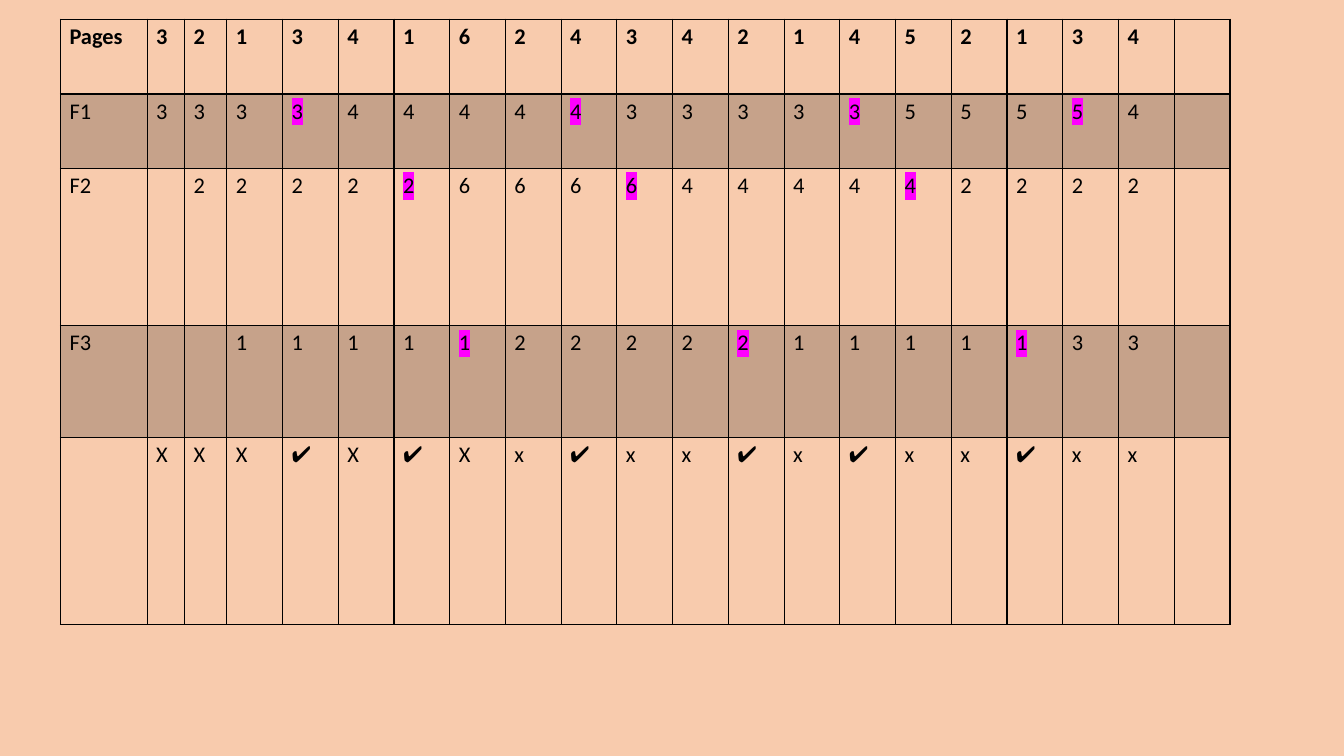
from lxml.etree import SubElement
from pptx import Presentation
from pptx.dml.color import RGBColor
from pptx.oxml import parse_xml
from pptx.oxml.ns import nsdecls, qn
from pptx.util import Inches, Pt

PEACH = RGBColor(0xF8, 0xCB, 0xAD)
BLACK = RGBColor(0x00, 0x00, 0x00)
MAGENTA = RGBColor(0xFF, 0x00, 0xFF)
BAND_ALPHA = 20000

PAGES = [*"3213416243421452134", ""]
FRAMES = [
    ["F1", *"3333444443333355554", ""],
    ["F2", "", *"222226666444442222", ""],
    ["F3", "", "", *"11111222221111133", ""],
]
FAULTS = ["", *"XXX✔X✔Xx✔xx✔x✔xx✔xx", ""]
ROWS = [["Pages", *PAGES], *FRAMES, FAULTS]

ROW_HEIGHTS = [0.74, 0.74, 1.56, 1.11, 1.86]
NARROW_WIDTHS = [0.86, 0.37, 0.42]


def set_borders(cell, row_index):
    """Draw thin borders, with a heavier rule under the header row."""
    heavy_sides = {0: "B", 1: "T"}.get(row_index, "")
    properties = cell._tc.get_or_add_tcPr()
    for position, side in enumerate("LRTB"):
        width = Pt(2 if side in heavy_sides else 1)
        properties.insert(position, parse_xml(
            f'<a:ln{side} {nsdecls("a")} w="{width}"><a:solidFill>'
            f'<a:srgbClr val="{BLACK}"/></a:solidFill></a:ln{side}>'))


def shade(cell):
    cell.fill.solid()
    cell.fill.fore_color.rgb = BLACK
    color = cell._tc.tcPr.find(qn("a:solidFill")).find(qn("a:srgbClr"))
    SubElement(color, qn("a:alpha"), val=str(BAND_ALPHA))


def highlight(run):
    run._r.get_or_add_rPr().find(qn("a:latin")).addprevious(parse_xml(
        f'<a:highlight {nsdecls("a")}><a:srgbClr val="{MAGENTA}"/></a:highlight>'))


def is_replaced_next(values, column):
    """Tell whether the page in this frame gives way to another in the next step."""
    following = values[column + 1:column + 2]
    return column > 0 and values[column] != "" and following not in ([], [""], [values[column]])


def fill_cell(cell, row_index, column):
    values = ROWS[row_index]
    cell.text_frame.text = values[column]
    cell.margin_left = cell.margin_right = Inches(0.09)
    cell.margin_top = cell.margin_bottom = Inches(0.04)
    if row_index % 2:
        shade(cell)
    else:
        cell.fill.background()
    set_borders(cell, row_index)
    for run in cell.text_frame.paragraphs[0].runs:
        run.font.name = "Calibri"
        run.font.size = Pt(16)
        run.font.bold = row_index == 0
        run.font.color.rgb = BLACK
        if values in FRAMES and is_replaced_next(values, column):
            highlight(run)


def add_page_table(slide, left, top, width):
    columns = len(ROWS[0])
    table = slide.shapes.add_table(
        len(ROWS), columns, Inches(left), Inches(top),
        Inches(width), Inches(sum(ROW_HEIGHTS))).table
    table.first_row = table.horz_banding = False
    step_width = (width - sum(NARROW_WIDTHS)) / (columns - len(NARROW_WIDTHS))
    widths = NARROW_WIDTHS + [step_width] * (columns - len(NARROW_WIDTHS))
    for column, column_width in zip(table.columns, widths):
        column.width = Inches(column_width)
    for row_index, height in enumerate(ROW_HEIGHTS):
        table.rows[row_index].height = Inches(height)
        for column in range(columns):
            fill_cell(table.cell(row_index, column), row_index, column)


def main():
    presentation = Presentation()
    presentation.slide_width = Inches(13.33)
    presentation.slide_height = Inches(7.5)
    slide = presentation.slides.add_slide(presentation.slide_layouts[6])
    slide.background.fill.solid()
    slide.background.fill.fore_color.rgb = PEACH
    add_page_table(slide, 0.6, 0.19, 11.6)
    presentation.save("out.pptx")


if __name__ == "__main__":
    main()
